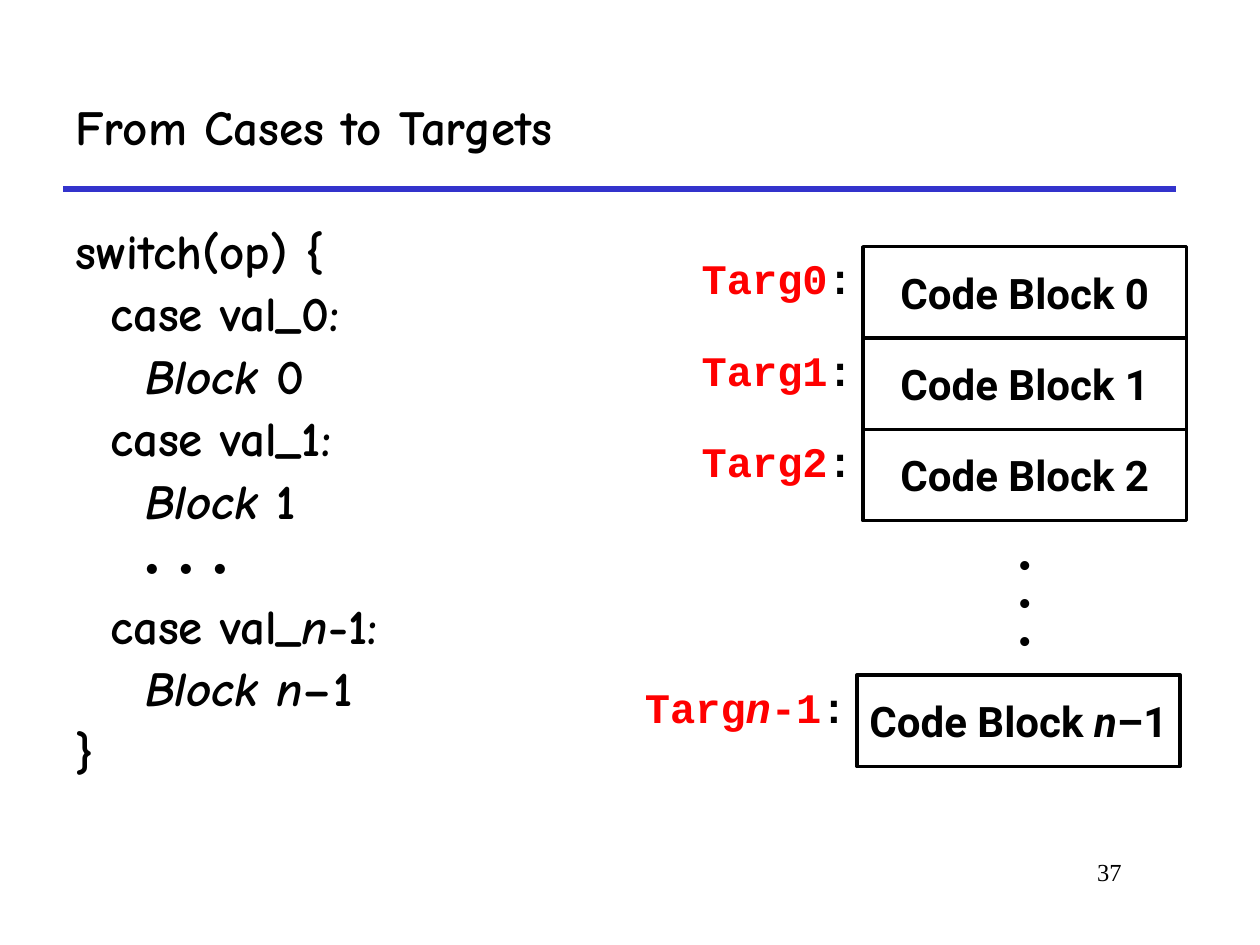
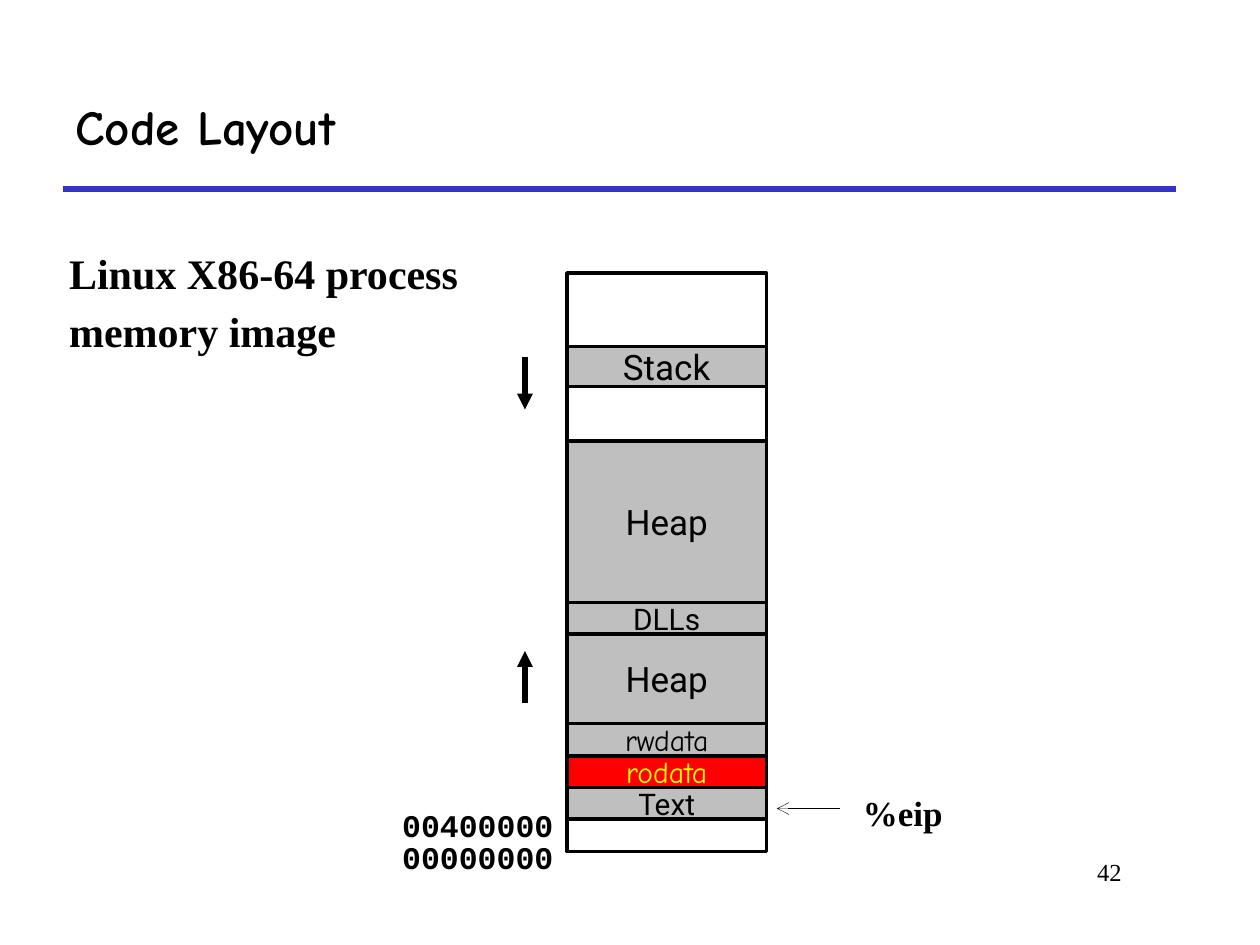
from lxml import etree
from pptx import Presentation, util as u
from pptx.dml.color import RGBColor
from pptx.enum import shapes, text
from pptx.oxml import ns

COLUMNS, ROWS = 120, 90
CELL = u.Inches(10) // COLUMNS
COLORS = {"ink": "000000", "paper": "FFFFFF", "rule": "3333CC",
          "red": "FF0000", "yellow": "FFFF00", "gray": "BFBFBF"}
HAND, MONO, SANS, SERIF = "Comic Neue", "Courier New", "Roboto", "Times New Roman"
LEFT, CENTER, RIGHT = text.PP_ALIGN.LEFT, text.PP_ALIGN.CENTER, text.PP_ALIGN.RIGHT
TOP, MIDDLE = text.MSO_ANCHOR.TOP, text.MSO_ANCHOR.MIDDLE

SWITCH_CODE = [
    ["switch(op) {"],
    ["  case val_0:"],
    ["    ", ("Block", "i"), " 0"],
    ["  case val_1:"],
    ["    ", ("Block", "i"), " 1"],
    ["    • • •"],
    ["  case val_", ("n", "i"), "-1:"],
    ["    ", ("Block n", "i"), "–1"],
    ["}"],
]
MEMORY_BANDS = [
    (26, "", "paper", SANS, "ink"),
    (33, "Stack", "gray", SANS, "ink"),
    (36.8, "", "paper", SANS, "ink"),
    (42, "Heap", "gray", SANS, "ink"),
    (57.4, "DLLs", "gray", SANS, "ink"),
    (60.4, "Heap", "gray", SANS, "ink"),
    (68.9, "rwdata", "gray", HAND, "ink"),
    (72, "rodata", "red", HAND, "yellow"),
    (75, "Text", "gray", SANS, "ink"),
    (78, "", "paper", SANS, "ink"),
]
MEMORY_END = 81.1
NARROW_BAND = 3.5


def grid(*cells):
    return [round(cell * CELL) for cell in cells]


def color(name):
    return RGBColor.from_string(COLORS[name])


def write(frame, lines, font, size, bold=True, ink="ink", align=LEFT,
          anchor=TOP, wrap=True, spacing=None, gap=0):
    frame.word_wrap = wrap
    frame.vertical_anchor = anchor
    for index, line in enumerate(lines):
        para = frame.paragraphs[0] if index == 0 else frame.add_paragraph()
        para.alignment = align
        if spacing:
            para.line_spacing = spacing
        if index and gap:
            para.space_before = u.Pt(gap)
        for piece in line:
            words, marks = (piece, "") if isinstance(piece, str) else piece
            span = para.add_run()
            span.text = words
            span.font.name = font
            span.font.size = u.Pt(size)
            span.font.bold = bold
            span.font.italic = "i" in marks
            span.font.color.rgb = color("red" if "r" in marks else ink)


def add_text(page, place, lines, font, size, **style):
    box = page.shapes.add_textbox(*grid(*place))
    write(box.text_frame, lines, font, size, **style)


def add_block(page, place, lines, font, size, fill="paper", outlined=True, **style):
    block = page.shapes.add_shape(shapes.MSO_SHAPE.RECTANGLE, *grid(*place))
    block.shadow.inherit = False
    block.fill.solid()
    block.fill.fore_color.rgb = color(fill)
    if outlined:
        block.line.color.rgb = color("ink")
        block.line.width = u.Pt(2)
    else:
        block.line.fill.background()
    frame = block.text_frame
    frame.margin_top = frame.margin_bottom = 0
    write(frame, lines, font, size, align=CENTER, anchor=MIDDLE, wrap=False, **style)


def add_line(page, start, end, width, ink="ink", head=None):
    line = page.shapes.add_connector(shapes.MSO_CONNECTOR.STRAIGHT, *grid(*start, *end))
    line.line.color.rgb = color(ink)
    line.line.width = u.Pt(width)
    properties = line._element.spPr
    if head:
        outline = properties.find(ns.qn("a:ln"))
        etree.SubElement(outline, ns.qn("a:tailEnd"), type=head)
    etree.SubElement(properties, ns.qn("a:effectLst"))


def add_page(deck, title, number):
    page = deck.slides.add_slide(deck.slide_layouts[6])
    add_line(page, (6, 18), (112, 18), 3, "rule")
    add_text(page, (6, 6, 106, 12), [[title]], HAND, 28, anchor=MIDDLE)
    add_text(page, (91, 81, 17, 6), [[number]], SERIF, 14, bold=False, align=RIGHT)
    return page


def add_target(page, left, top, target, block):
    add_block(page, (left, top, 30.8, 8.7), [block], SANS, 24)
    add_text(page, (left - 22, top, 22.2, 6), [target + [":"]], MONO, 24, align=RIGHT)


def add_targets_page(deck):
    page = add_page(deck, "From Cases to Targets", "37")
    add_text(page, (6, 21, 70, 58), SWITCH_CODE, HAND, 28, spacing=0.9, gap=5.5)
    for index in range(3):
        add_target(page, 82.2, 23.5 + index * 8.7,
                   [(f"Targ{index}", "r")], [f"Code Block {index}"])
    add_target(page, 81.6, 64.3, [("Targ", "r"), ("n", "ri"), ("-1", "r")],
               ["Code Block ", ("n", "i"), "–1"])
    add_block(page, (82.2, 52.6, 30.8, 9.4), [["•"]] * 3, MONO, 18, outlined=False)


def add_memory_page(deck):
    page = add_page(deck, "Code Layout", "42")
    add_text(page, (5.4, 23.5, 40, 11.4), [["Linux X86-64 process"], ["memory image"]],
             SERIF, 24, spacing=0.9, gap=7.2)
    ends = [band[0] for band in MEMORY_BANDS[1:]] + [MEMORY_END]
    for (top, name, fill, font, ink), end in zip(MEMORY_BANDS, ends):
        size = 17 if end - top < NARROW_BAND else 20
        add_block(page, (54, top, 19, end - top), [[name]] if name else [],
                  font, size, fill=fill, bold=False, ink=ink)
    for address, top in (("00400000", 76.2), ("00000000", 79.2)):
        add_text(page, (37, top, 17, 4.8), [[address]], MONO, 18,
                 align=CENTER, wrap=False)
    for start, end in ((34, 39), (67, 62)):
        add_line(page, (50, start), (50, end), 3, head="triangle")
    add_line(page, (80, 77), (74, 77), 0.25, head="arrow")
    add_text(page, (81, 74.8, 12, 5.3), [["%eip"]], SERIF, 20)


def main():
    deck = Presentation()
    deck.slide_width, deck.slide_height = grid(COLUMNS, ROWS)
    add_targets_page(deck)
    add_memory_page(deck)
    deck.save("out.pptx")


if __name__ == "__main__":
    main()
